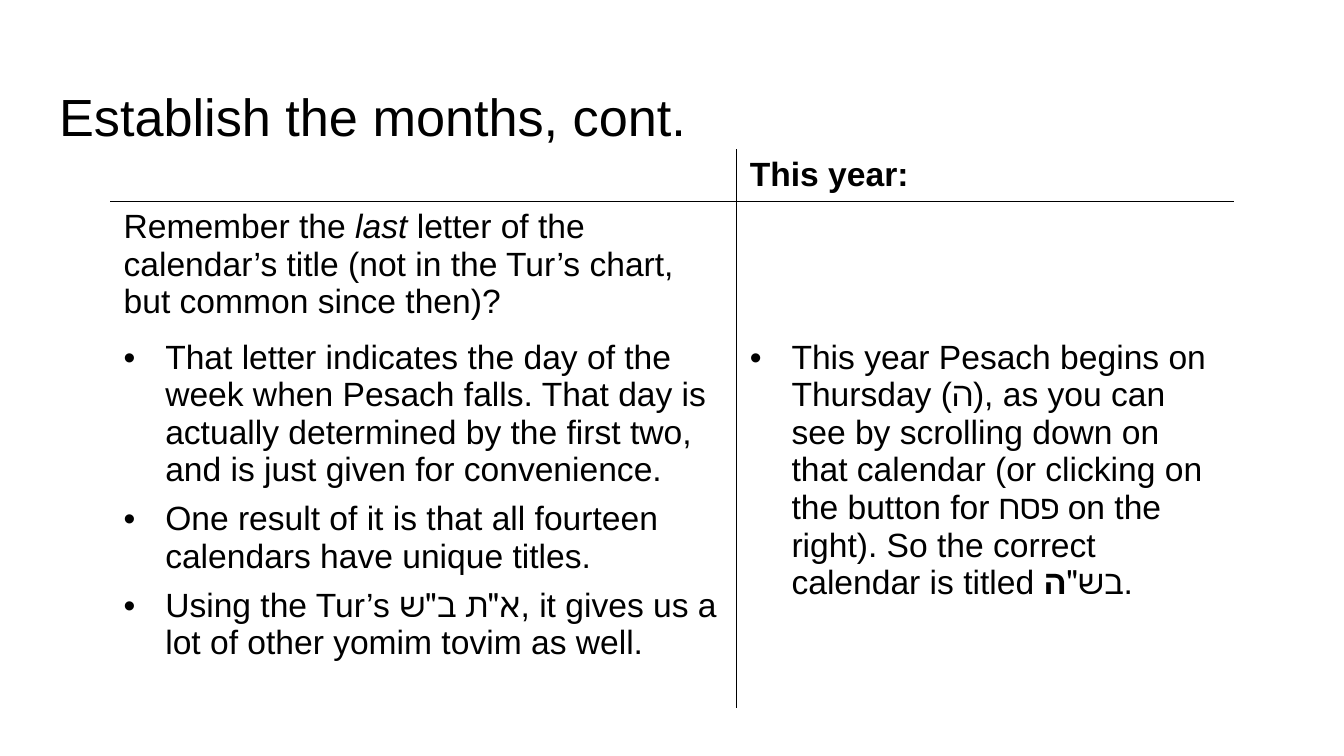
import pptx
import pptx.dml.color
import pptx.enum.text
import pptx.oxml
import pptx.oxml.ns
import pptx.util
from lxml import etree

BLACK = pptx.dml.color.RGBColor(0x00, 0x00, 0x00)
FONT = "Arial"
BODY_SIZE = 18
SLIDE_WIDTH = 10
SLIDE_HEIGHT = SLIDE_WIDTH * 9 / 16

TITLE = "Establish the months, cont."
HEADING = [[("This year:", "bold")]]
QUESTION = [[
    ("Remember the ", ""),
    ("last", "italic"),
    (" letter of the calendar’s title (not in the Tur’s chart, but common since then)?", ""),
]]
RULES = [
    [("That letter indicates the day of the week when Pesach falls. That day is actually "
      "determined by the first two, and is just given for convenience.", "")],
    [("One result of it is that all fourteen calendars have unique titles.", "")],
    [("Using the Tur’s א\"ת ב\"ש, it gives us a lot of other yomim tovim as well.", "")],
]
THIS_YEAR = [[
    ("This year Pesach begins on Thursday (ה), as you can see by scrolling down on that "
     "calendar (or clicking on the button for פסח on the right). So the correct calendar "
     "is titled בש\"", ""),
    ("ה", "bold"),
    (".", ""),
]]
ROWS = [([], HEADING), (QUESTION, []), (RULES, THIS_YEAR)]
ROW_HEIGHTS = [0.39, 0.97, 2.8]
COLUMN_WIDTHS = [4.66, 3.7]
TABLE_LEFT, TABLE_TOP = 0.82, 1.11
TITLE_LEFT, TITLE_TOP, TITLE_HEIGHT = 0.34, 0.49, 0.63


def add_child(parent, tag, **attributes):
    return etree.SubElement(parent, pptx.oxml.ns.qn(tag), attributes)


def write(frame, paragraphs, size=BODY_SIZE, bullet=False, space_before=6):
    """Fill a text frame with paragraphs made of (text, style) runs."""
    if not paragraphs:
        ending = add_child(frame.paragraphs[0]._p, "a:endParaRPr", sz=str(size * 100))
        add_child(ending, "a:latin", typeface=FONT)
    for index, runs in enumerate(paragraphs):
        paragraph = frame.add_paragraph() if index else frame.paragraphs[0]
        paragraph.alignment = pptx.enum.text.PP_ALIGN.LEFT
        if bullet:
            properties = paragraph._p.get_or_add_pPr()
            indent = pptx.util.Inches(0.31)
            properties.set("marL", str(indent))
            properties.set("indent", str(-indent))
            add_child(add_child(properties, "a:buClr"), "a:srgbClr", val=str(BLACK))
            add_child(properties, "a:buFont", typeface=FONT)
            add_child(properties, "a:buChar", char="•")
        paragraph.space_before = pptx.util.Pt(space_before if index else 0)
        for text, style in runs:
            run = paragraph.add_run()
            run.text = text
            run.font.name = FONT
            run.font.size = pptx.util.Pt(size)
            run.font.color.rgb = BLACK
            run.font.bold = style == "bold"
            run.font.italic = style == "italic"


def set_borders(cell, visible):
    properties = cell._tc.get_or_add_tcPr()
    for side in "LRTB":
        line = add_child(properties, f"a:ln{side}", w=str(pptx.util.Pt(1)))
        if side in visible:
            add_child(add_child(line, "a:solidFill"), "a:srgbClr", val=str(BLACK))
        else:
            add_child(line, "a:noFill")
    cell.fill.background()


def build_title(slide):
    title = slide.shapes.title
    title.left, title.top, title.width, title.height = map(
        pptx.util.Inches,
        (TITLE_LEFT, TITLE_TOP, SLIDE_WIDTH - 2 * TITLE_LEFT, TITLE_HEIGHT))
    frame = title.text_frame
    frame.margin_left = frame.margin_right = pptx.util.Inches(0.1)
    frame.margin_top = pptx.util.Inches(0.14)
    frame.margin_bottom = pptx.util.Inches(0.04)
    frame.auto_size = pptx.enum.text.MSO_AUTO_SIZE.NONE
    frame.vertical_anchor = pptx.enum.text.MSO_ANCHOR.TOP
    write(frame, [[(TITLE, "")]], size=28)


def build_table(slide):
    table = slide.shapes.add_table(
        len(ROWS), len(COLUMN_WIDTHS),
        *map(pptx.util.Inches,
             (TABLE_LEFT, TABLE_TOP, sum(COLUMN_WIDTHS), sum(ROW_HEIGHTS)))).table
    table.first_row = table.horz_banding = False
    for column, width in zip(table.columns, COLUMN_WIDTHS):
        column.width = pptx.util.Inches(width)
    for row, height in zip(table.rows, ROW_HEIGHTS):
        row.height = pptx.util.Inches(height)
    for row_index, contents in enumerate(ROWS):
        for column_index, paragraphs in enumerate(contents):
            cell = table.cell(row_index, column_index)
            across = {0: "B", 1: "T"}.get(row_index, "")
            set_borders(cell, "RL"[column_index] + across)
            write(cell.text_frame, paragraphs, bullet=row_index == len(ROWS) - 1)


def main():
    presentation = pptx.Presentation()
    presentation.slide_width = pptx.util.Inches(SLIDE_WIDTH)
    presentation.slide_height = pptx.util.Inches(SLIDE_HEIGHT)
    slide = presentation.slides.add_slide(presentation.slide_layouts[5])
    build_title(slide)
    build_table(slide)
    presentation.save("out.pptx")


if __name__ == "__main__":
    main()
